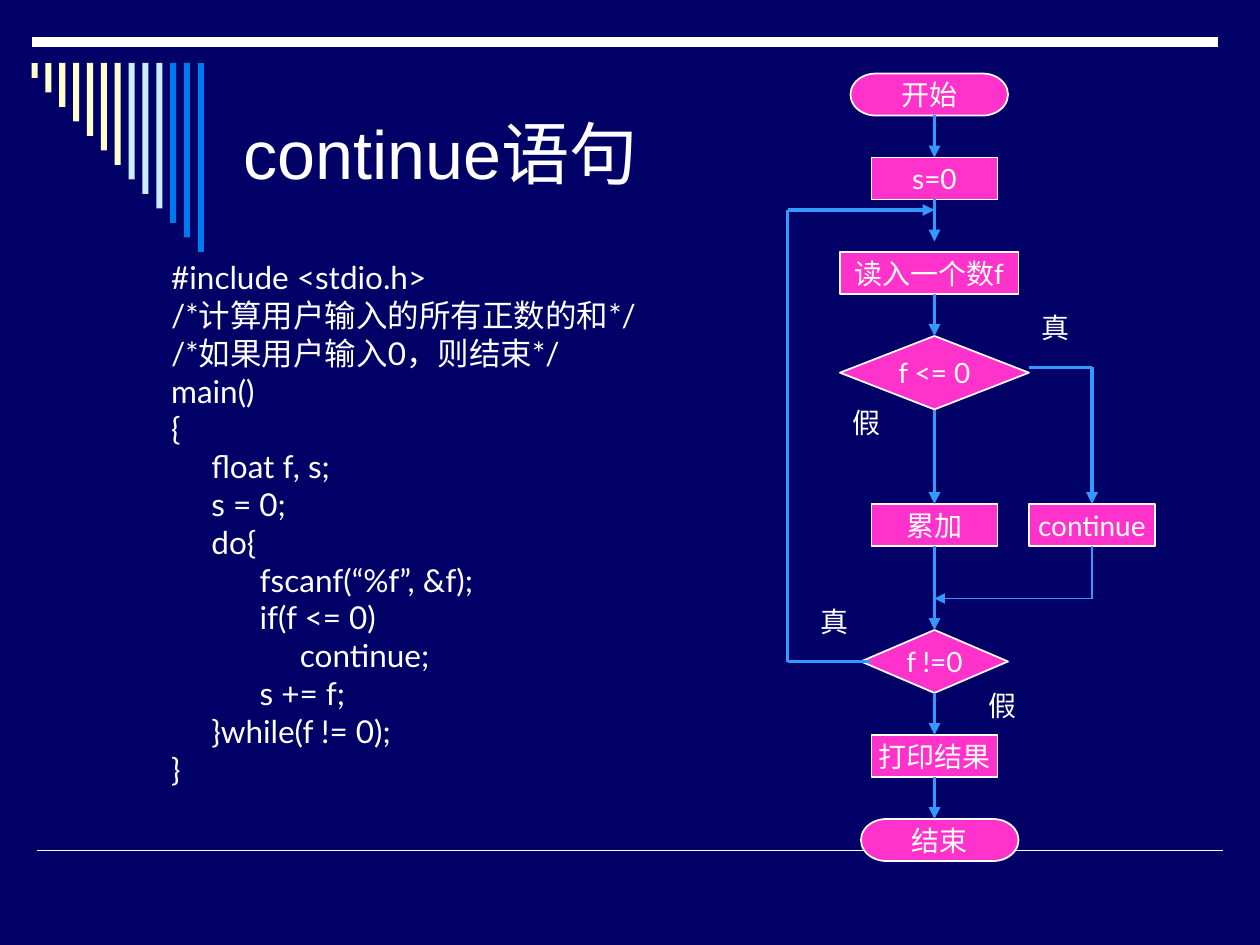
from lxml import etree
from pptx import Presentation
from pptx.dml.color import RGBColor
from pptx.enum.shapes import MSO_CONNECTOR, MSO_SHAPE
from pptx.enum.text import MSO_ANCHOR, MSO_AUTO_SIZE, PP_ALIGN
from pptx.oxml.ns import qn
from pptx.util import Pt

LINE = MSO_CONNECTOR.STRAIGHT
RECT = MSO_SHAPE.RECTANGLE
STEP = MSO_SHAPE.FLOWCHART_PROCESS
TEST = MSO_SHAPE.FLOWCHART_DECISION
CAP = MSO_SHAPE.FLOWCHART_TERMINATOR
MIDDLE = MSO_ANCHOR.MIDDLE
GROW = MSO_AUTO_SIZE.SHAPE_TO_FIT_TEXT
LEFT = PP_ALIGN.LEFT
CENTER = PP_ALIGN.CENTER

NAVY, WHITE, PINK, BLUE = "000066", "FFFFFF", "FF33CC", "3399FF"
BARS = ["FFFFCC"] * 7 + ["CCECFF"] * 3 + ["0078F0"] * 3
MID, SIDE, BACK = 534, 624, 450

CODE = """#include <stdio.h>
/*计算用户输入的所有正数的和*/
/*如果用户输入0，则结束*/
main()
{
     float f, s;
     s = 0;
     do{
           fscanf(“%f”, &f);
           if(f <= 0)
                continue;
           s += f;
     }while(f != 0);
}"""

NODES = [
    (CAP, "开始", 531, 42, 90, 24),
    (STEP, "s=0", MID, 90, 72, 24),
    (STEP, "读入一个数f", 531, 144, 102, 24),
    (TEST, "f <= 0", MID, 192, 108, 42),
    (STEP, "累加", MID, 288, 72, 24),
    (STEP, "continue", SIDE, 288, 72, 24),
    (TEST, "f !=0", MID, 360, 84, 36),
    (STEP, "打印结果", MID, 420, 72, 24),
    (CAP, "结束", 537, 468, 90, 24),
]
DROPS = [(66, 90), (114, 138), (168, 192), (234, 288),
         (312, 360), (396, 420), (444, 468)]
LABELS = [("真", 588, 174), ("假", 480, 228),
          ("真", 462, 342), ("假", 558, 390)]


def paint(color, hue):
    color.rgb = RGBColor.from_string(hue)


def write(frame, text, size, face="Lato", align=LEFT):
    for row, line in enumerate(text.split("\n")):
        para = frame.add_paragraph() if row else frame.paragraphs[0]
        para.alignment = align
        run = para.add_run()
        run.text = line
        run.font.size = Pt(size)
        run.font.name = face
        paint(run.font.color, WHITE)


def add_box(slide, kind, x, y, w, h, fill, edge=None):
    box = slide.shapes.add_shape(kind, Pt(x), Pt(y), Pt(w), Pt(h))
    box.shadow.inherit = False
    box.fill.solid()
    paint(box.fill.fore_color, fill)
    if edge:
        paint(box.line.color, edge)
        box.line.width = Pt(1)
    else:
        box.line.fill.background()
    return box


def add_node(slide, kind, text, mid, y, w, h):
    node = add_box(slide, kind, mid - w / 2, y, w, h, PINK, WHITE)
    frame = node.text_frame
    frame.word_wrap = False
    frame.vertical_anchor = MIDDLE
    write(frame, text, 16, align=CENTER)


def add_text(slide, text, x, y, w, h, size):
    frame = slide.shapes.add_textbox(Pt(x), Pt(y), Pt(w), Pt(h)).text_frame
    frame.word_wrap = False
    frame.auto_size = GROW
    write(frame, text, size)


def add_line(slide, start, end, hue=BLUE, width=2.25, arrow=False):
    line = slide.shapes.add_connector(LINE, *map(Pt, start + end))
    paint(line.line.color, hue)
    line.line.width = Pt(width)
    props = line._element.spPr
    if arrow:
        tip = etree.SubElement(props.find(qn("a:ln")), qn("a:tailEnd"))
        tip.set("type", "triangle")
    etree.SubElement(props, qn("a:effectLst"))


def add_path(slide, points, width=2.25):
    last = len(points) - 2
    for i, (start, end) in enumerate(zip(points, points[1:])):
        add_line(slide, start, end, width=width, arrow=i == last)


def add_title(slide, text):
    title = slide.shapes.title
    title.left, title.top, title.width, title.height = map(Pt, (132, 36, 552, 102))
    title.text_frame.vertical_anchor = MIDDLE
    write(title.text_frame, text, 39, "Arial")


def add_frame(slide):
    add_line(slide, (21, 486), (699, 486), WHITE, 1)
    add_line(slide, (18, 24), (696, 24), WHITE, 6)
    for i, hue in enumerate(BARS):
        add_box(slide, RECT, 18 + 7.92 * i, 36, 3.5, 8.6 + 8.28 * i, hue)


def add_flow(slide):
    for node in NODES:
        add_node(slide, *node)
    for top, foot in DROPS:
        add_line(slide, (MID, top), (MID, foot), arrow=True)
    add_path(slide, [(498, 378), (BACK, 378), (BACK, 120), (MID, 120)])
    add_path(slide, [(588, 210), (SIDE, 210), (SIDE, 288)])
    add_path(slide, [(SIDE, 312), (SIDE, 342), (MID, 342)], 1)
    for text, x, y in LABELS:
        add_text(slide, text, x, y, 30, 26.6, 16)


def main():
    deck = Presentation()
    deck.slide_width, deck.slide_height = Pt(720), Pt(540)
    slide = deck.slides.add_slide(deck.slide_layouts[5])
    slide.background.fill.solid()
    paint(slide.background.fill.fore_color, NAVY)
    add_frame(slide)
    add_title(slide, "continue语句")
    add_text(slide, CODE, 90.7, 144, 288.7, 309.6, 18)
    add_flow(slide)
    deck.save("out.pptx")


if __name__ == "__main__":
    main()
